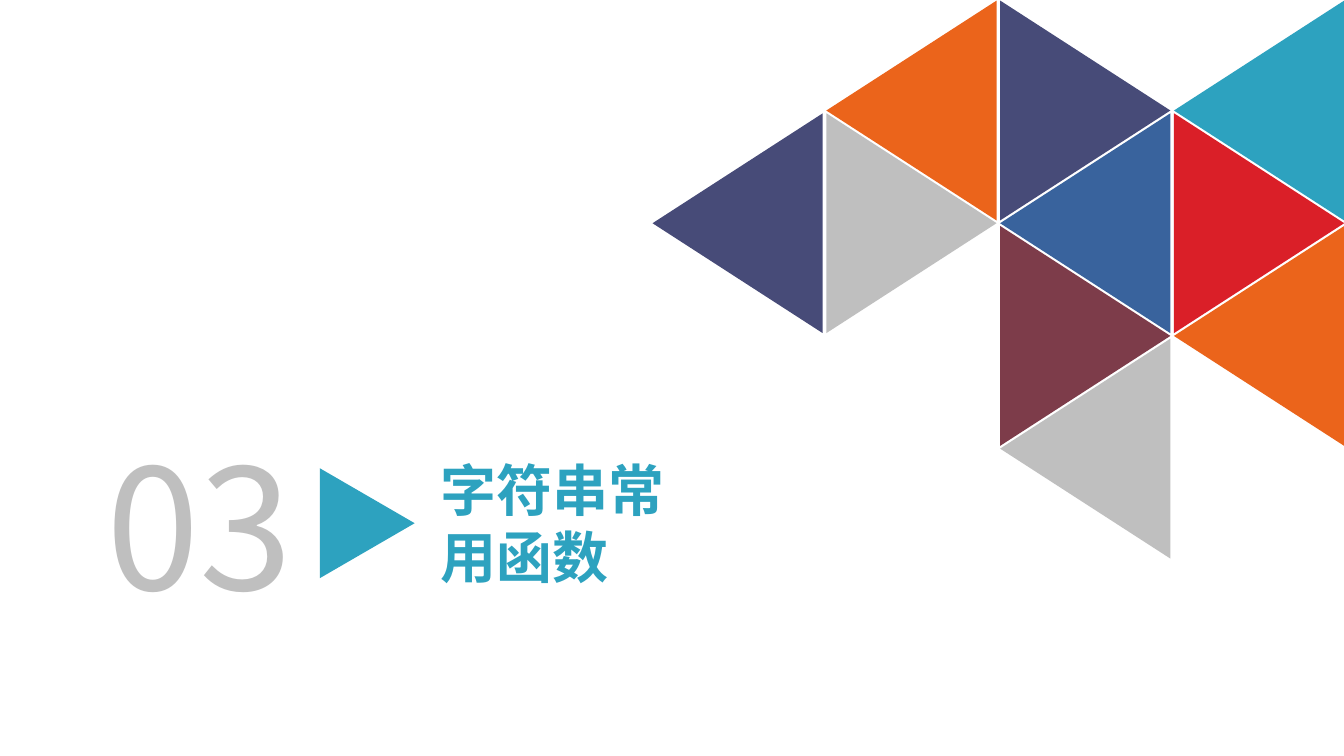
import pptx
import pptx.dml.color
import pptx.enum.shapes
import pptx.enum.text
import pptx.oxml
import pptx.oxml.ns
import pptx.util
from dataclasses import dataclass
from pptx.util import Cm


@dataclass(frozen=True)
class Theme:
    teal: str = "2DA2BF"
    red: str = "DA1F28"
    orange: str = "EB641B"
    navy: str = "474B78"
    blue: str = "39639D"
    plum: str = "7D3C4A"
    grey: str = "BFBFBF"
    font: str = "Noto Sans CJK SC"
    title_size: int = 40
    number_size: int = 120


theme = Theme()
deck = pptx.Presentation()
deck.slide_width = Cm(33.87)
deck.slide_height = Cm(19.05)
page = deck.slides.add_slide(deck.slide_layouts[6])


def add_triangle(left, top, width, height, rotation, color):
    triangle = page.shapes.add_shape(
        pptx.enum.shapes.MSO_SHAPE.ISOSCELES_TRIANGLE,
        Cm(left), Cm(top), Cm(width), Cm(height))
    triangle.rotation = rotation
    triangle.shadow.inherit = False
    triangle.fill.solid()
    triangle.fill.fore_color.rgb = pptx.dml.color.RGBColor.from_string(color)
    triangle.line.fill.background()


def add_text(text, *, left, top, width, height, size, color,
             bold=False, align="LEFT", line_spacing=None):
    box = page.shapes.add_textbox(Cm(left), Cm(top), Cm(width), Cm(height))
    box.text_frame.word_wrap = True
    para = box.text_frame.paragraphs[0]
    para.alignment = pptx.enum.text.PP_ALIGN[align]
    para.line_spacing = line_spacing
    span = para.add_run()
    span.text = text
    span.font.name = theme.font
    span.font.size = pptx.util.Pt(size)
    span.font.bold = bold
    span.font.color.rgb = pptx.dml.color.RGBColor.from_string(color)
    # East Asian glyphs take their typeface from a separate element
    east_asian = pptx.oxml.parse_xml(
        f'<a:ea {pptx.oxml.ns.nsdecls("a")} typeface="{theme.font}"/>')
    span.font._element.append(east_asian)


# Mosaic: (column, row, colour); neighbouring triangles point opposite ways
mosaic = [
    (3, 0, theme.teal), (3, 1, theme.red), (3, 2, theme.orange),
    (2, 0, theme.navy), (2, 1, theme.blue), (2, 2, theme.plum),
    (1, 0, theme.orange), (2, 3, theme.grey), (1, 1, theme.grey),
    (0, 1, theme.navy),
]
for column, row, color in mosaic:
    points_left = (column + row) % 2 == 1
    add_triangle(15.82 + 4.38 * column, 0.64 + 2.84 * row, 5.54, 4.29,
                 270 if points_left else 90, color)

add_text("字符串常用函数", left=10.85, top=11.35, width=6.43, height=3.68,
         size=theme.title_size, color=theme.teal, bold=True)
add_text("03", left=1.22, top=10.52, width=7.62, height=5.38,
         size=theme.number_size, color=theme.grey, align="CENTER")
add_triangle(7.87, 11.99, 2.77, 2.39, 90, theme.teal)

deck.save("out.pptx")
